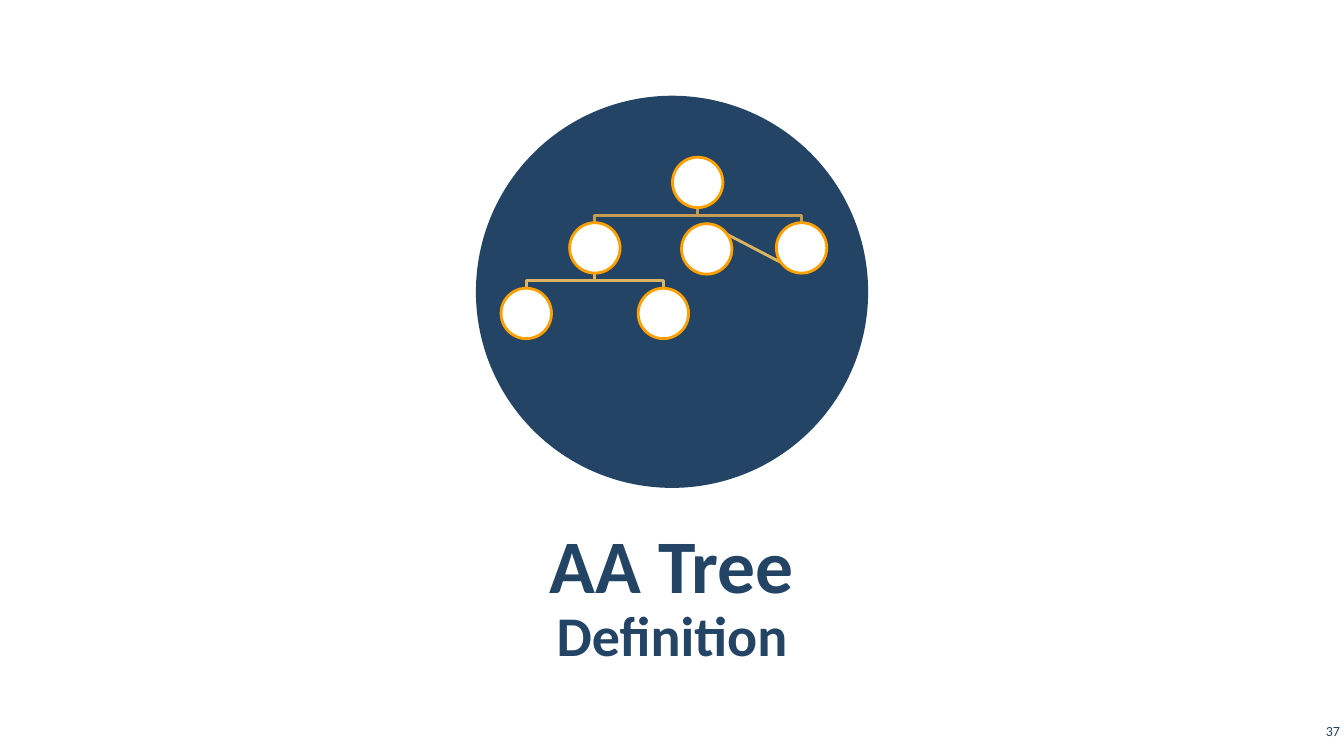
from pptx import Presentation
from pptx.dml.color import RGBColor
from pptx.enum.shapes import MSO_CONNECTOR, MSO_SHAPE
from pptx.enum.text import MSO_ANCHOR, PP_ALIGN
from pptx.oxml.ns import qn
from pptx.util import Inches, Pt
from lxml import etree

OVAL = MSO_SHAPE.OVAL
STRAIGHT = MSO_CONNECTOR.STRAIGHT
MIDDLE = MSO_ANCHOR.MIDDLE
CENTER = PP_ALIGN.CENTER
RIGHT = PP_ALIGN.RIGHT

NAVY = "234465"
WHITE = "FFFFFF"
ORANGE = "FFA000"
UPPER_BRANCH = "C39D53"
LOWER_BRANCH = "DFB461"
RADIUS = 0.25


def color(hex_code):
    return RGBColor.from_string(hex_code)


class TreeSlide:
    """Draws circles, branches and text on one slide in a shared style."""

    font = "Calibri"
    line_width = Pt(2)

    def __init__(self, slide):
        self.slide = slide
        self.shapes = slide.shapes

    def stroke(self, line, hex_code):
        line.color.rgb = color(hex_code)
        line.width = self.line_width

    def circle(self, center, radius, fill, outline=None):
        x, y = center
        disc = self.shapes.add_shape(
            OVAL, Inches(x - radius), Inches(y - radius),
            Inches(2 * radius), Inches(2 * radius))
        disc.shadow.inherit = False
        disc.fill.solid()
        disc.fill.fore_color.rgb = color(fill)
        if outline:
            self.stroke(disc.line, outline)
        else:
            disc.line.fill.background()

    def branch(self, parent, child, hex_code):
        start, end = parent[1] + RADIUS, child[1] - RADIUS
        bend = (start + end) / 2
        corners = [(parent[0], bend), (child[0], bend), (child[0], end)]
        builder = self.shapes.build_freeform(Inches(parent[0]), Inches(start))
        builder.add_line_segments(
            [(Inches(x), Inches(y)) for x, y in corners], close=False)
        elbow = builder.convert_to_shape()
        elbow.shadow.inherit = False
        elbow.fill.background()
        self.stroke(elbow.line, hex_code)

    def link(self, lower, upper, hex_code):
        edge = self.shapes.add_connector(
            STRAIGHT, Inches(lower[0]), Inches(lower[1] + RADIUS),
            Inches(upper[0]), Inches(upper[1] - RADIUS))
        self.stroke(edge.line, hex_code)
        etree.SubElement(edge._element.spPr, qn("a:effectLst"))

    def text(self, words, box, size, bold=False, align=CENTER,
             spacing=1.0, side_inset=0.12):
        label = self.shapes.add_textbox(*map(Inches, box))
        frame = label.text_frame
        frame.word_wrap = True
        frame.vertical_anchor = MIDDLE
        frame.margin_left = frame.margin_right = Inches(side_inset)
        frame.margin_top = frame.margin_bottom = Inches(0.04)
        paragraph = frame.paragraphs[0]
        paragraph.alignment = align
        paragraph.line_spacing = spacing
        run = paragraph.add_run()
        run.text = words
        run.font.name = self.font
        run.font.size = Pt(size)
        run.font.bold = bold
        run.font.color.rgb = color(NAVY)


def main():
    deck = Presentation()
    deck.slide_width, deck.slide_height = Inches(13.33), Inches(7.5)
    page = TreeSlide(deck.slides.add_slide(deck.slide_layouts[6]))

    page.circle((6.665, 2.895), 1.945, NAVY)
    page.text("AA Tree", (0.67, 5.15, 11.99, 0.84), 54, bold=True, spacing=1.05)
    page.text("Definition", (0.67, 6, 11.99, 0.55), 40, bold=True, spacing=1.05)
    page.text("37", (12.86, 7.14, 0.47, 0.22), 10, align=RIGHT, side_inset=0.04)

    root = (6.92, 1.81)
    left, right = (5.9, 2.46), (7.95, 2.46)
    left_leaf, right_leaf = (5.22, 3.11), (6.58, 3.11)
    inner = (7.01, 2.47)

    page.link(right, inner, LOWER_BRANCH)
    for parent, child, shade in [
        (root, right, UPPER_BRANCH),
        (left, right_leaf, LOWER_BRANCH),
        (left, left_leaf, LOWER_BRANCH),
        (root, left, UPPER_BRANCH),
    ]:
        page.branch(parent, child, shade)
    for node in (root, left, left_leaf, right_leaf, right, inner):
        page.circle(node, RADIUS, WHITE, ORANGE)

    deck.save("out.pptx")


if __name__ == "__main__":
    main()
